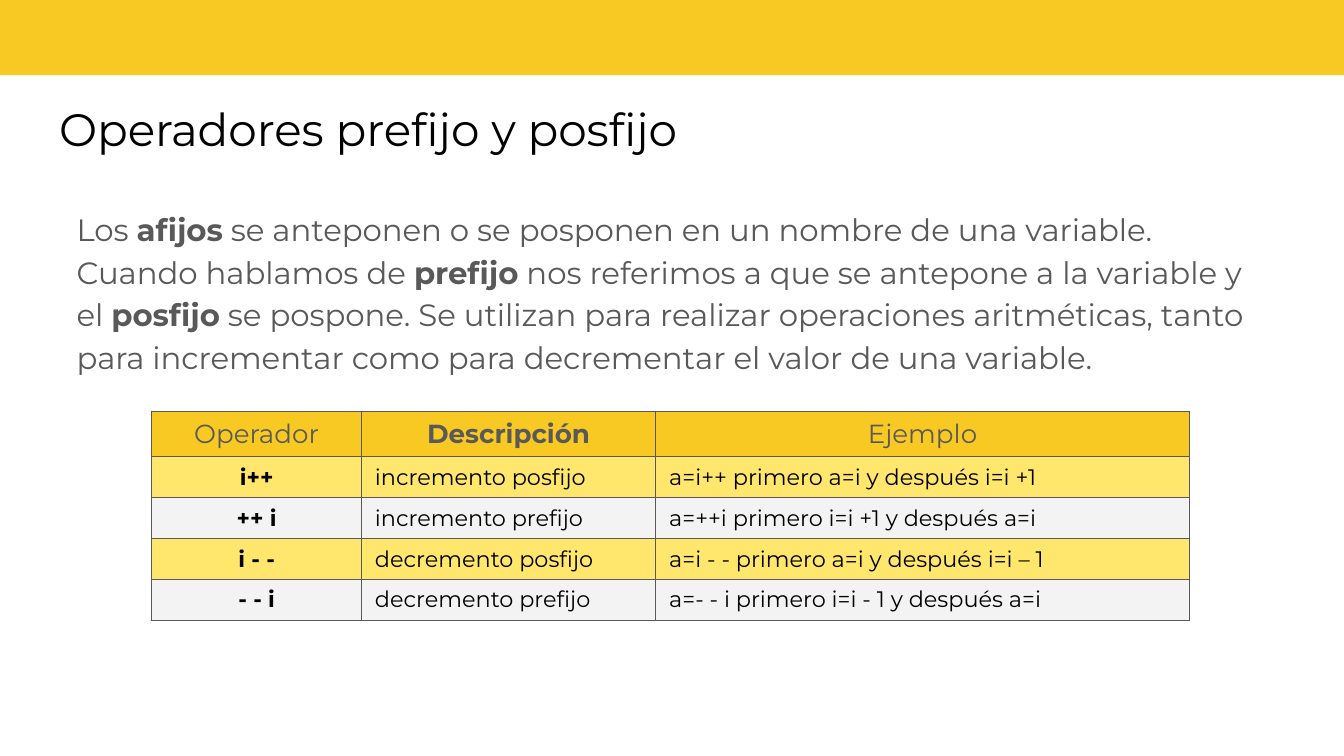
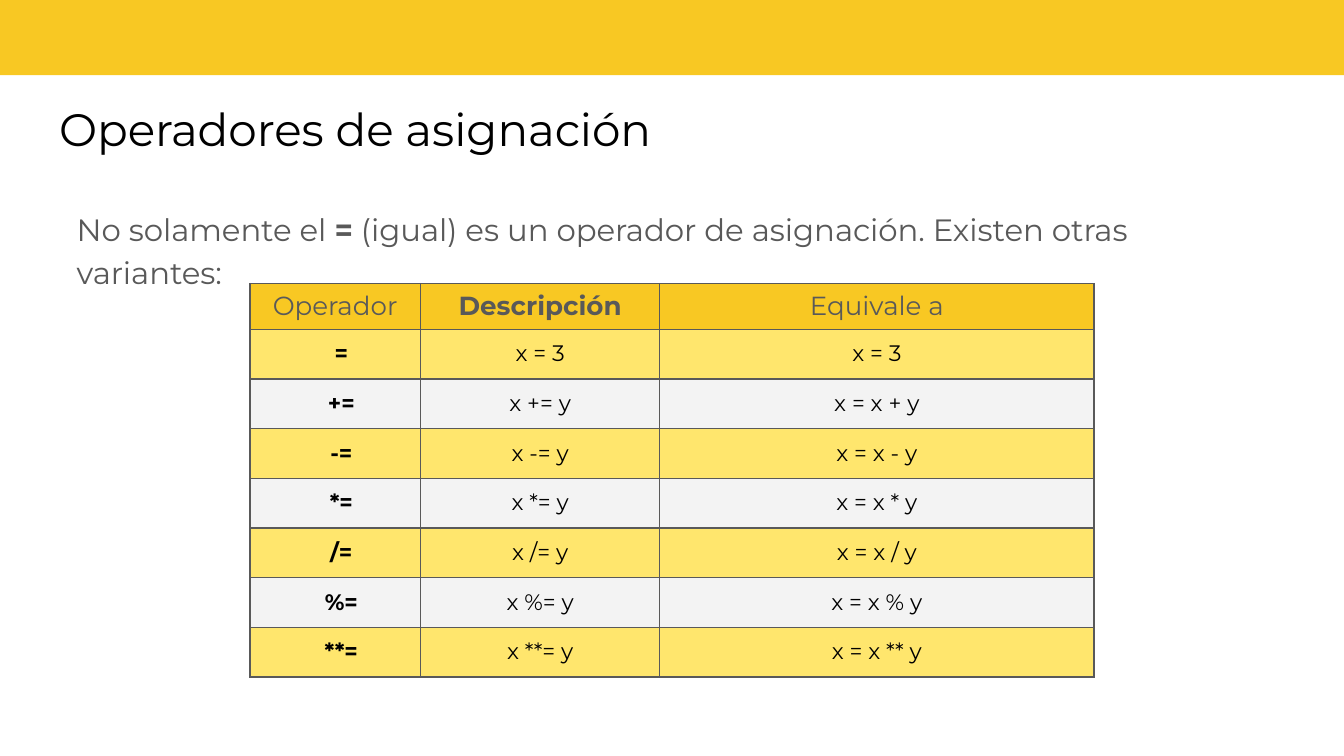
from lxml import etree
from pptx import Presentation
from pptx.dml.color import RGBColor
from pptx.enum.shapes import MSO_SHAPE
from pptx.enum.text import MSO_ANCHOR, MSO_AUTO_SIZE, PP_ALIGN
from pptx.oxml.ns import qn
from pptx.util import Inches, Pt

LEFT, CENTER = PP_ALIGN.LEFT, PP_ALIGN.CENTER
TOP = MSO_ANCHOR.TOP
RECT = MSO_SHAPE.RECTANGLE
FIXED = MSO_AUTO_SIZE.NONE

FONT = "Montserrat"
GOLD, YELLOW, PALE = "F8C823", "FFE66D", "F3F3F3"
BLACK, GREY = "000000", "595959"
PAD = (0.1, 0.05, 0.1, 0.05)
WIDE = 10
HIGH = WIDE * 9 / 16

SLIDES = [
    {
        "title": "Operadores prefijo y posfijo",
        "body": [
            "Los ", "afijos",
            " se anteponen o se posponen en un nombre de una variable. Cuando hablamos de ",
            "prefijo", " nos referimos a que se antepone a la variable y el ", "posfijo",
            " se pospone. Se utilizan para realizar operaciones aritméticas, tanto para "
            "incrementar como para decrementar el valor de una variable.",
        ],
        "at": (1.13, 3.06),
        "cols": (1.56, 2.19, 3.97),
        "high": 0.3,
        "align": LEFT,
        "pads": (PAD, PAD, PAD),
        "rows": [
            ("Operador", "Descripción", "Ejemplo"),
            ("i++", "incremento posfijo", "a=i++ primero a=i y después i=i +1"),
            ("++ i", "incremento prefijo", "a=++i primero i=i +1 y después a=i"),
            ("i - -", "decremento posfijo", "a=i - - primero a=i y después i=i – 1"),
            ("- - i", "decremento prefijo", "a=- - i primero i=i - 1 y después a=i"),
        ],
    },
    {
        "title": "Operadores de asignación",
        "body": [
            "No solamente el ", "=",
            " (igual) es un operador de asignación. Existen otras variantes:",
        ],
        "at": (1.86, 2.11),
        "cols": (1.27, 1.78, 3.23),
        "high": 0.37,
        "align": CENTER,
        "pads": ((0.17, 0.08, 0.08, 0.08),) + ((0.08,) * 4,) * 2,
        "rows": [
            ("Operador", "Descripción", "Equivale a"),
            ("=", "x = 3", "x = 3"),
            ("+=", "x += y", "x = x + y"),
            ("-=", "x -= y", "x = x - y"),
            ("*=", "x *= y", "x = x * y"),
            ("/=", "x /= y", "x = x / y"),
            ("%=", "x %= y", "x = x % y"),
            ("**=", "x **= y", "x = x ** y"),
        ],
    },
]


def paint(fill, color):
    fill.solid()
    fill.fore_color.rgb = RGBColor.from_string(color)


def write(para, text, size, color, bold=False):
    run = para.add_run()
    run.text = text
    font = run.font
    font.name, font.size, font.bold = FONT, Pt(size), bold
    font.color.rgb = RGBColor.from_string(color)


def place(shape, box):
    shape.left, shape.top, shape.width, shape.height = map(Inches, box)
    frame = shape.text_frame
    frame.word_wrap = True
    frame.auto_size = FIXED
    frame.vertical_anchor = TOP
    frame.margin_left = frame.margin_right = Inches(0.1)
    frame.margin_top = frame.margin_bottom = Inches(0.1)
    para = frame.paragraphs[0]
    para.alignment = LEFT
    para.space_before = Pt(0)
    return para


def border(cell):
    props = cell._tc.get_or_add_tcPr()
    for side in ("a:lnL", "a:lnR", "a:lnT", "a:lnB"):
        line = etree.SubElement(props, qn(side), w=str(Pt(0.75)))
        fill = etree.SubElement(line, qn("a:solidFill"))
        etree.SubElement(fill, qn("a:srgbClr"), val=GREY)


def add_band(slide):
    band = slide.shapes.add_shape(RECT, *map(Inches, (-0.01, -0.05, 10.03, 0.61)))
    band.shadow.inherit = False
    paint(band.fill, GOLD)
    band.line.fill.background()
    slide.slide_layout.shapes.element.insert(2, band.element)


def add_body(shape, parts):
    para = place(shape, (0.47, 1.43, 9.06, 3.63))
    para.line_spacing = 1.15
    props = para._p.get_or_add_pPr()
    props.set("marL", "0")
    props.set("indent", "0")
    etree.SubElement(props, qn("a:buNone"))
    for i, part in enumerate(parts):
        write(para, part, 16.5, GREY, i % 2 == 1)


def add_grid(slide, data):
    rows, cols = data["rows"], data["cols"]
    highs = [0.34] + [data["high"]] * (len(rows) - 1)
    box = (*data["at"], sum(cols), sum(highs))
    grid = slide.shapes.add_table(len(rows), len(cols), *map(Inches, box)).table
    grid.first_row = grid.horz_banding = False
    for col, wide in zip(grid.columns, cols):
        col.width = Inches(wide)
    for r, row in enumerate(rows):
        grid.rows[r].height = Inches(highs[r])
        head = r == 0
        color = GOLD if head else YELLOW if r % 2 else PALE
        for c, text in enumerate(row):
            cell = grid.cell(r, c)
            pad = PAD if head else data["pads"][c]
            (cell.margin_left, cell.margin_top,
             cell.margin_right, cell.margin_bottom) = map(Inches, pad)
            border(cell)
            paint(cell.fill, color)
            para = cell.text_frame.paragraphs[0]
            para.alignment = CENTER if head or c == 0 else data["align"]
            bold = c == (1 if head else 0)
            write(para, text, 14 if head else 12, GREY if head else BLACK, bold)


def main():
    deck = Presentation()
    deck.slide_width, deck.slide_height = Inches(WIDE), Inches(HIGH)
    layout = deck.slide_layouts[1]
    for i, data in enumerate(SLIDES):
        slide = deck.slides.add_slide(layout)
        if i == 0:
            add_band(slide)
        title = place(slide.shapes.title, (0.34, 0.65, 9.3, 0.63))
        write(title, data["title"], 24.3, BLACK)
        add_body(slide.placeholders[1], data["body"])
        add_grid(slide, data)
    deck.save("out.pptx")


if __name__ == "__main__":
    main()
